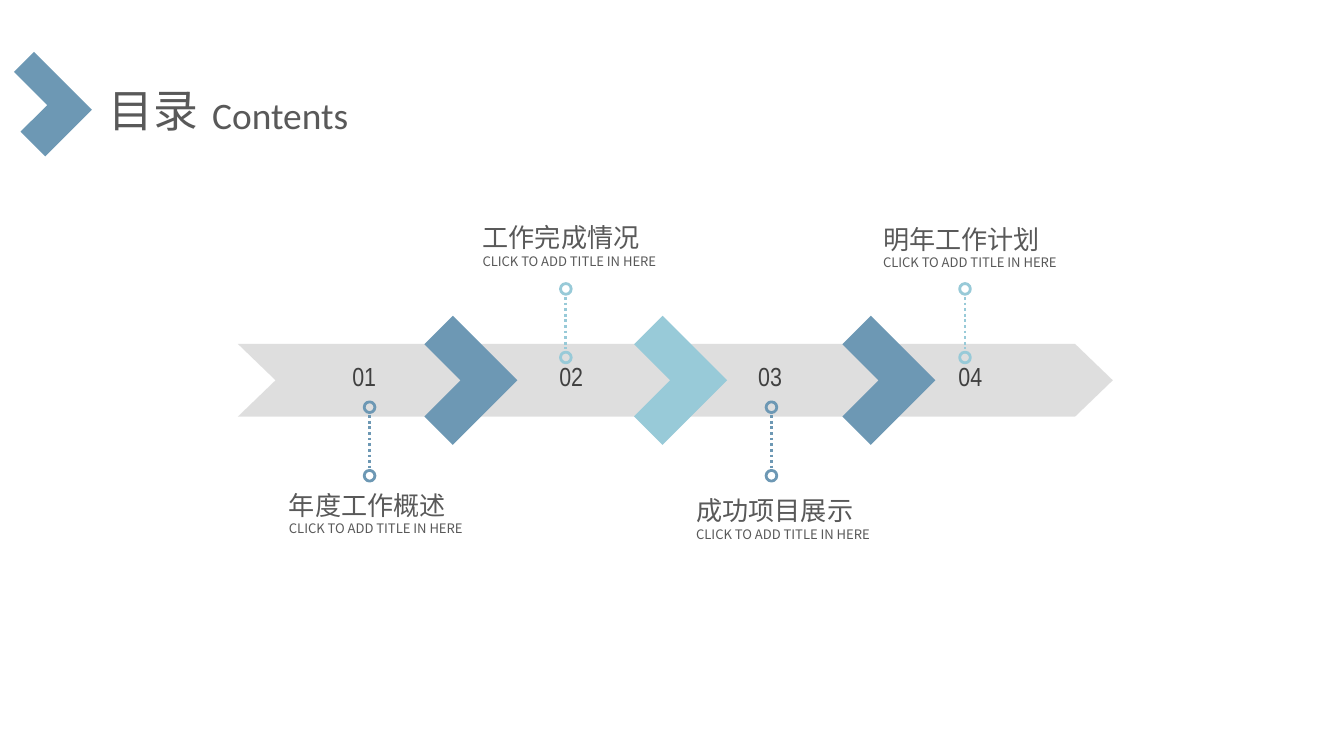
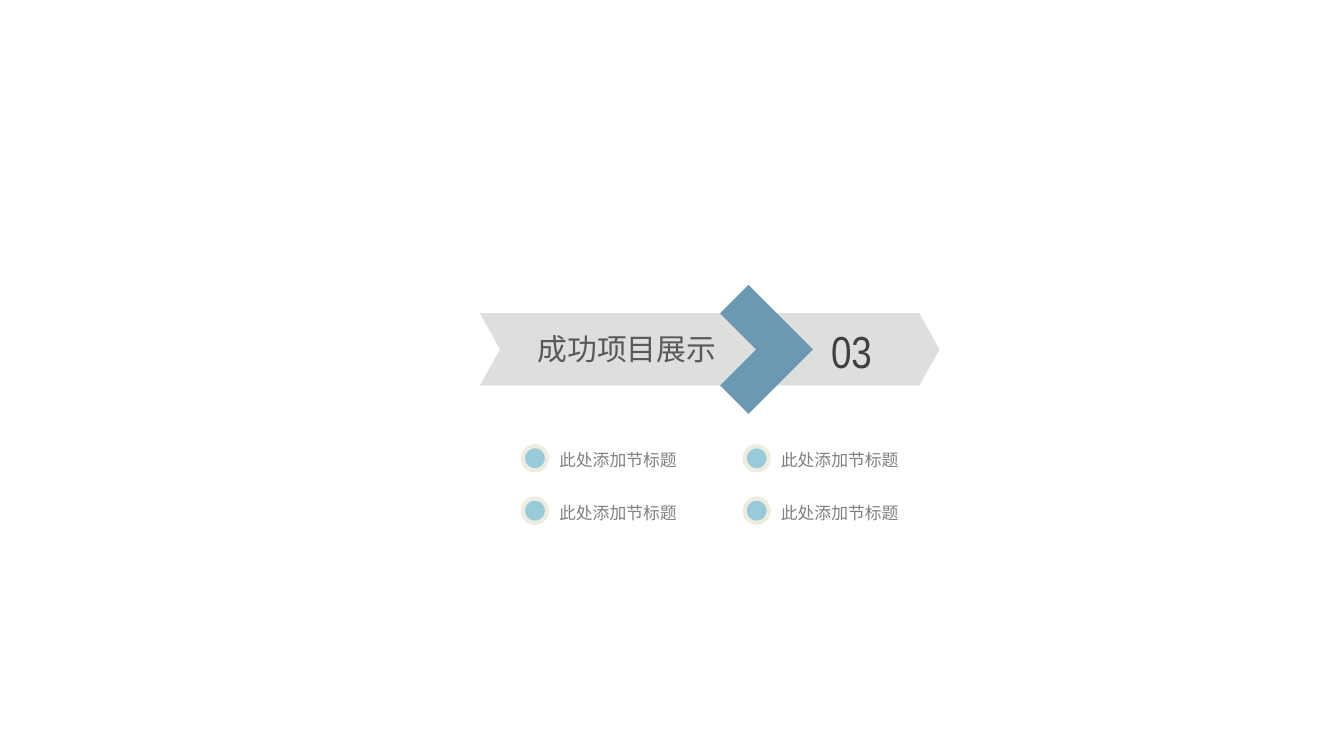
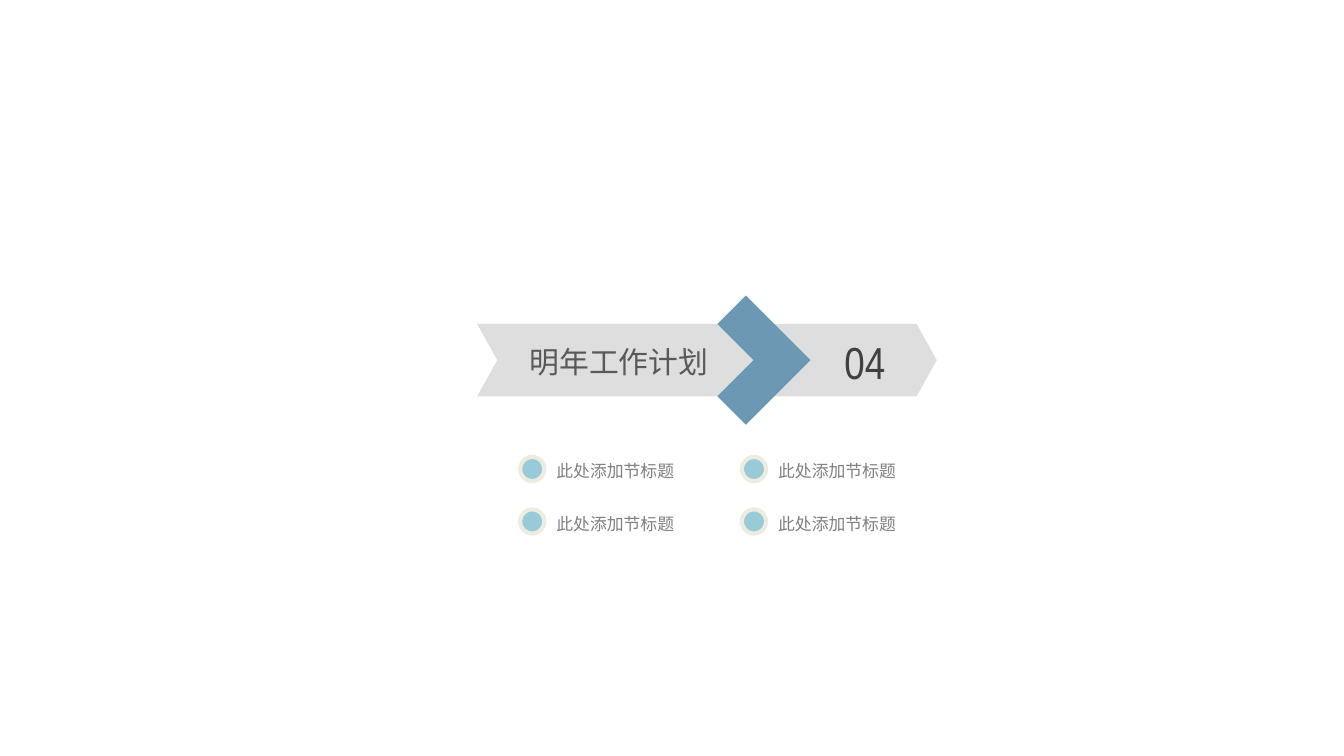
"""Build a contents slide and two section slides with arrow bands."""
import pptx
import pptx.dml.color
import pptx.enum.dml
import pptx.enum.shapes
import pptx.enum.text
import pptx.oxml.ns
import pptx.util
from lxml import etree

Inches = pptx.util.Inches
Pt = pptx.util.Pt
qn = pptx.oxml.ns.qn

COLORS = {
    "blue": "6D98B4",
    "aqua": "98CAD8",
    "band": "BFBFBF",
    "ring": "EEECE1",
    "number": "404040",
    "title": "595959",
    "item": "808080",
}
CJK = "Noto Sans CJK SC"
NARROW = "Arial Narrow"
BAND_H = 0.54
SUBTITLE = "CLICK TO ADD TITLE IN HERE"
ITEM = "此处添加节标题"


def rgb(name):
    """Return the named colour."""
    return pptx.dml.color.RGBColor.from_string(COLORS[name])


def add_outline(shapes, points, color):
    """Add a filled freeform through points given in inches."""
    points = [(Inches(x), Inches(y)) for x, y in points]
    builder = shapes.build_freeform(*points[0])
    builder.add_line_segments(points[1:], close=True)
    sp = builder.convert_to_shape()
    sp.shadow.inherit = False
    sp.fill.solid()
    sp.fill.fore_color.rgb = rgb(color)
    sp.line.fill.background()
    return sp


def add_band(s, x, y, w, notch):
    """Add a half-transparent arrow band with a notched tail."""
    right, middle, bottom = x + w, y + BAND_H / 2, y + BAND_H
    sp = add_outline(s.shapes, [
        (x, y), (right - notch, y), (right, middle),
        (right - notch, bottom), (x, bottom), (x + notch, middle),
    ], "band")
    clr = sp._element.spPr.find(qn("a:solidFill"))[0]
    etree.SubElement(clr, qn("a:alpha")).set("val", "50000")


def add_chevron(s, x, y, color="blue", w=0.68, h=0.68, arm_w=0.3, arm_h=0.3):
    """Add an L-shaped corner turned to point right."""
    right, bottom = x + w, y + h
    inner_x, inner_y = right - arm_w, bottom - arm_h
    sp = add_outline(s.shapes, [
        (inner_x, y), (right, y), (right, bottom),
        (x, bottom), (x, inner_y), (inner_x, inner_y),
    ], color)
    sp.rotation = 315


def add_text(s, box, text, sizes, font, color, center=False, wrap=True):
    """Add a text box with one size per paragraph."""
    sp = s.shapes.add_textbox(*map(Inches, box))
    tf = sp.text_frame
    tf.text = text
    tf.word_wrap = wrap
    tf.auto_size = pptx.enum.text.MSO_AUTO_SIZE.SHAPE_TO_FIT_TEXT
    if wrap:
        tf.margin_left = tf.margin_right = Inches(0.07)
        tf.margin_top = tf.margin_bottom = Inches(0.04)
    for p, size in zip(tf.paragraphs, sizes):
        if center:
            p.alignment = pptx.enum.text.PP_ALIGN.CENTER
        for r in p.runs:
            r.font.size = Pt(size)
            r.font.color.rgb = rgb(color)
            r.font.name = font
            ea = etree.SubElement(r.font._element, qn("a:ea"))
            ea.set("typeface", font)


def add_circle(shapes, x, y, size, line, width, fill=None):
    """Add an outlined circle, hollow unless a fill is named."""
    oval = pptx.enum.shapes.MSO_SHAPE.OVAL
    sp = shapes.add_shape(oval, *map(Inches, (x, y, size, size)))
    sp.shadow.inherit = False
    sp.line.color.rgb = rgb(line)
    sp.line.width = Pt(width)
    if fill:
        sp.fill.solid()
        sp.fill.fore_color.rgb = rgb(fill)
    else:
        sp.fill.background()


def add_pin(s, x, y, color):
    """Add two rings joined by a dotted line, grouped."""
    shapes = s.shapes.add_group_shape().shapes
    for ring_y in (y, y + 0.51):
        add_circle(shapes, x, ring_y, 0.08, color, 1.5)
    middle = Inches(x + 0.04)
    cxn = shapes.add_connector(
        pptx.enum.shapes.MSO_CONNECTOR.STRAIGHT,
        middle, Inches(y + 0.1), middle, Inches(y + 0.49))
    cxn.line.color.rgb = rgb(color)
    cxn.line.width = Pt(1.5)
    cxn.line.dash_style = pptx.enum.dml.MSO_LINE.ROUND_DOT
    etree.SubElement(cxn._element.spPr, qn("a:effectLst"))


def new_slide(prs):
    """Add a blank slide."""
    return prs.slides.add_slide(prs.slide_layouts[6])


def build_contents(prs):
    """Build the contents slide."""
    s = new_slide(prs)
    add_band(s, 1.77, 2.56, 6.51, 0.28)
    for x, color in ((3.03, "blue"), (4.59, "aqua"), (6.14, "blue")):
        add_chevron(s, x, 2.49, color)
    entries = [
        ("年度工作概述", 2.3, 2.71, 2.08, 3.6),
        ("工作完成情况", 3.84, 4.17, 3.52, 1.61),
        ("成功项目展示", 5.32, 5.7, 5.11, 3.64),
        ("明年工作计划", 6.81, 7.14, 6.5, 1.62),
    ]
    for i, (title, number_x, pin_x, x, y) in enumerate(entries):
        add_text(s, (number_x, 2.64, 0.82, 0.31), f"{i + 1:02}", [14],
                 NARROW, "number", center=True)
        pin_y, color = ((2.99, "blue"), (2.11, "aqua"))[i % 2]
        add_pin(s, pin_x, pin_y, color)
        add_text(s, (x, y, 1.62, 0.43), f"{title}\n{SUBTITLE}", [14, 7],
                 CJK, "title")
    add_chevron(s, 0.05, 0.47, w=0.49, h=0.61, arm_w=0.21, arm_h=0.26)
    add_text(s, (1.48, 0.64, 1.22, 0.44), "Contents", [20], "Calibri",
             "title", wrap=False)
    add_text(s, (0.71, 0.57, 0.88, 0.5), "目录", [24], CJK, "title",
             wrap=False)


def build_section(prs, number, title, x, y, title_box, number_w):
    """Build a section slide whose band starts at x, y."""
    s = new_slide(prs)
    add_band(s, x, y, 3.42, 0.15)
    add_chevron(s, x + 1.66, y - 0.07)
    add_text(s, (x + 2.34, y + 0.04, number_w, 0.48), number, [24],
             NARROW, "number", center=True)
    add_text(s, title_box, title, [16], CJK, "title")
    for col, text_w in enumerate((1.5, 1.86)):
        for row in range(2):
            item_x, item_y = x + 0.32 + col * 1.65, y + 0.99 + row * 0.39
            add_circle(s.shapes, item_x, item_y, 0.18, "ring", 2.25, "aqua")
            add_text(s, (item_x + 0.2, item_y - 0.01, text_w, 0.23), ITEM,
                     [9], CJK, "item")


def main():
    """Build and save the deck."""
    prs = pptx.Presentation()
    prs.slide_width = Inches(10)
    prs.slide_height = Inches(10 * 9 / 16)
    build_contents(prs)
    build_section(prs, "03", "成功项目展示", 3.57, 2.33,
                  (3.93, 2.42, 1.67, 0.34), 0.85)
    build_section(prs, "04", "明年工作计划", 3.55, 2.41,
                  (3.87, 2.52, 1.5, 0.34), 1.09)
    prs.save("out.pptx")


if __name__ == "__main__":
    main()
